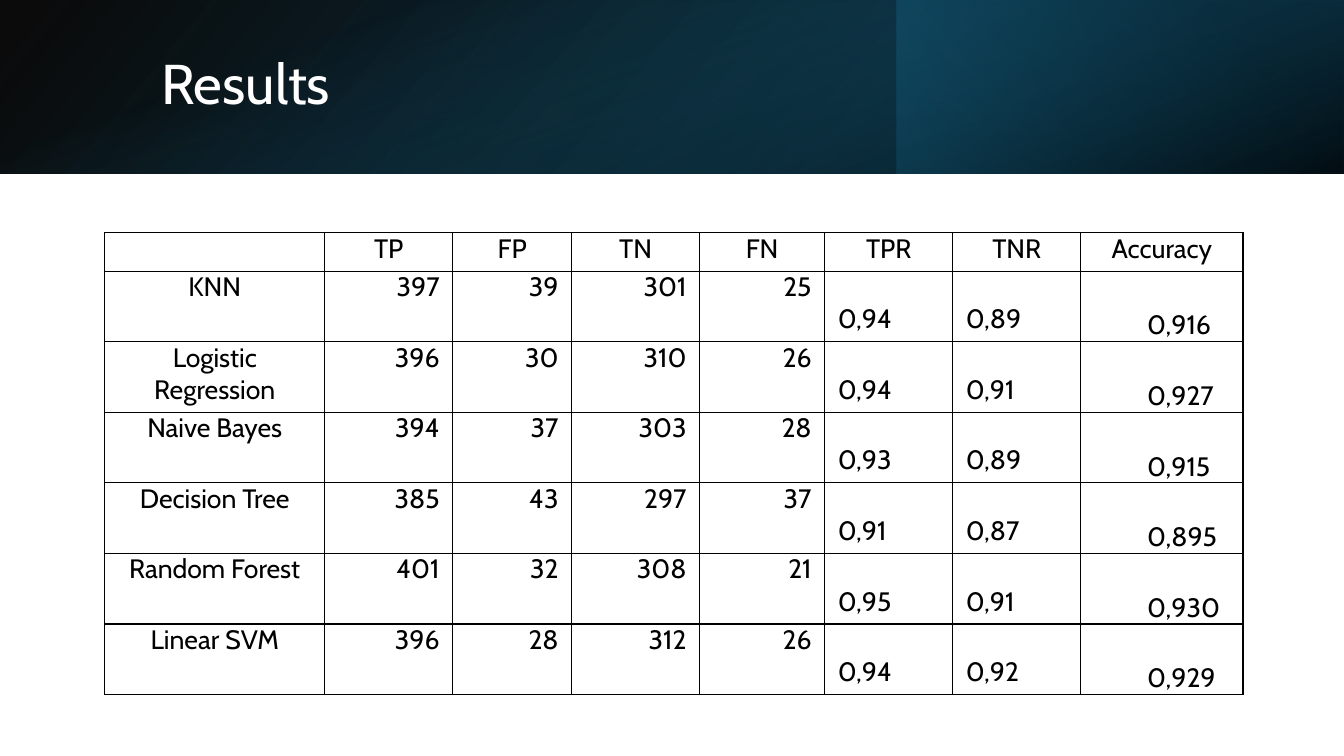
from lxml import etree
from pptx import Presentation
from pptx.dml.color import RGBColor
from pptx.enum.shapes import MSO_SHAPE
from pptx.enum.text import MSO_ANCHOR, PP_ALIGN
from pptx.oxml import parse_xml
from pptx.oxml.ns import nsdecls, qn
from pptx.util import Inches, Pt

RECTANGLE = MSO_SHAPE.RECTANGLE
TOP, MIDDLE, BOTTOM = MSO_ANCHOR.TOP, MSO_ANCHOR.MIDDLE, MSO_ANCHOR.BOTTOM
LEFT, CENTER, RIGHT = PP_ALIGN.LEFT, PP_ALIGN.CENTER, PP_ALIGN.RIGHT
FONT = "Cabin"
COLORS = {
    "black": "000000",
    "white": "FFFFFF",
    "ocean": "104862",
    "navy": "0B3041",
    "teal": "156082",
}


def add_band(slide, box, rotation, flipped, stops, angle):
    band = slide.shapes.add_shape(RECTANGLE, *[Inches(v) for v in box])
    band.shadow.inherit = False
    band.rotation = rotation
    band.line.fill.background()
    properties = band._element.spPr
    if flipped:
        properties.xfrm.set("flipH", "1")
    stop_xml = "".join(
        f'<a:gs pos="{position * 1000}"><a:srgbClr val="{COLORS[color]}">'
        f'<a:alpha val="{alpha * 1000}"/></a:srgbClr></a:gs>'
        for position, color, alpha in stops
    )
    gradient = parse_xml(
        f'<a:gradFill {nsdecls("a")} rotWithShape="1"><a:gsLst>{stop_xml}</a:gsLst>'
        f'<a:lin ang="{angle * 60000}" scaled="0"/></a:gradFill>'
    )
    properties.find(qn("a:prstGeom")).addnext(gradient)


def add_text(paragraph, text, size, color):
    run = paragraph.add_run()
    run.text = text
    run.font.name = FONT
    run.font.size = Pt(size)
    run.font.color.rgb = RGBColor.from_string(COLORS[color])


prs = Presentation()
prs.slide_width = Inches(13.33)
prs.slide_height = Inches(7.5)
slide = prs.slides.add_slide(prs.slide_layouts[5])
slide.background.fill.solid()
slide.background.fill.fore_color.rgb = RGBColor.from_string(COLORS["white"])

bands = [
    ((0, 0, 13.33, 1.72), 0, True, [(0, "black", 96), (100, "ocean", 100)], 140),
    ((8.89, 0, 4.44, 1.72), 180, False, [(19, "navy", 68), (100, "teal", 79)], 320),
    ((5.8, -5.8, 1.72, 13.33), 90, False, [(23, "teal", 0), (99, "black", 74)], 340),
]
for band in bands:
    add_band(slide, *band)

title = slide.shapes.title
slide.shapes._spTree.append(title._element)
title.left, title.top = Inches(1.5), Inches(0.38)
title.width, title.height = Inches(10.98), Inches(0.96)
title.text_frame.vertical_anchor = MIDDLE
heading = title.text_frame.paragraphs[0]
heading.alignment = LEFT
heading.line_spacing = 0.9
add_text(heading, "Results", 40, "white")

results = [
    ["", "TP", "FP", "TN", "FN", "TPR", "TNR", "Accuracy"],
    ["KNN", "397", "39", "301", "25", "0,94", "0,89", "0,916"],
    ["Logistic Regression", "396", "30", "310", "26", "0,94", "0,91", "0,927"],
    ["Naive Bayes", "394", "37", "303", "28", "0,93", "0,89", "0,915"],
    ["Decision Tree", "385", "43", "297", "37", "0,91", "0,87", "0,895"],
    ["Random Forest", "401", "32", "308", "21", "0,95", "0,91", "0,930"],
    ["Linear SVM", "396", "28", "312", "26", "0,94", "0,92", "0,929"],
]
column_widths = [2.18, 1.27, 1.18, 1.27, 1.24, 1.27, 1.27, 1.61]
name_style = (CENTER, TOP, 0.13, 0)
count_style = (RIGHT, TOP, 0.13, 0)
rate_style = (LEFT, TOP, 0.13, 0.32)
accuracy_style = (LEFT, BOTTOM, 0.66, 0)
column_styles = [name_style] + [count_style] * 4 + [rate_style] * 2 + [accuracy_style]

table = slide.shapes.add_table(
    len(results), len(column_widths),
    Inches(1.04), Inches(2.31), Inches(11.28), Inches(4.59),
).table
table.first_row = False
table.horz_banding = False
for column, width in zip(table.columns, column_widths):
    column.width = Inches(width)

for row_index, values in enumerate(results):
    table.rows[row_index].height = Inches(0.7 if row_index else 0.38)
    for column_index, value in enumerate(values):
        cell = table.cell(row_index, column_index)
        style = column_styles[column_index] if row_index else name_style
        alignment, anchor, left_inset, top_inset = style
        cell.margin_left, cell.margin_right = Inches(left_inset), Inches(0.13)
        cell.margin_top, cell.margin_bottom = Inches(top_inset), Inches(0)
        cell.vertical_anchor = anchor
        cell_properties = cell._tc.get_or_add_tcPr()
        for side in ("lnL", "lnR", "lnT", "lnB"):
            border = etree.SubElement(cell_properties, qn(f"a:{side}"), w=str(Pt(1)))
            border_fill = etree.SubElement(border, qn("a:solidFill"))
            etree.SubElement(border_fill, qn("a:srgbClr"), val=COLORS["black"])
        cell.fill.background()
        paragraph = cell.text_frame.paragraphs[0]
        paragraph.alignment = alignment
        if value:
            add_text(paragraph, value, 19, "black")

prs.save("out.pptx")
